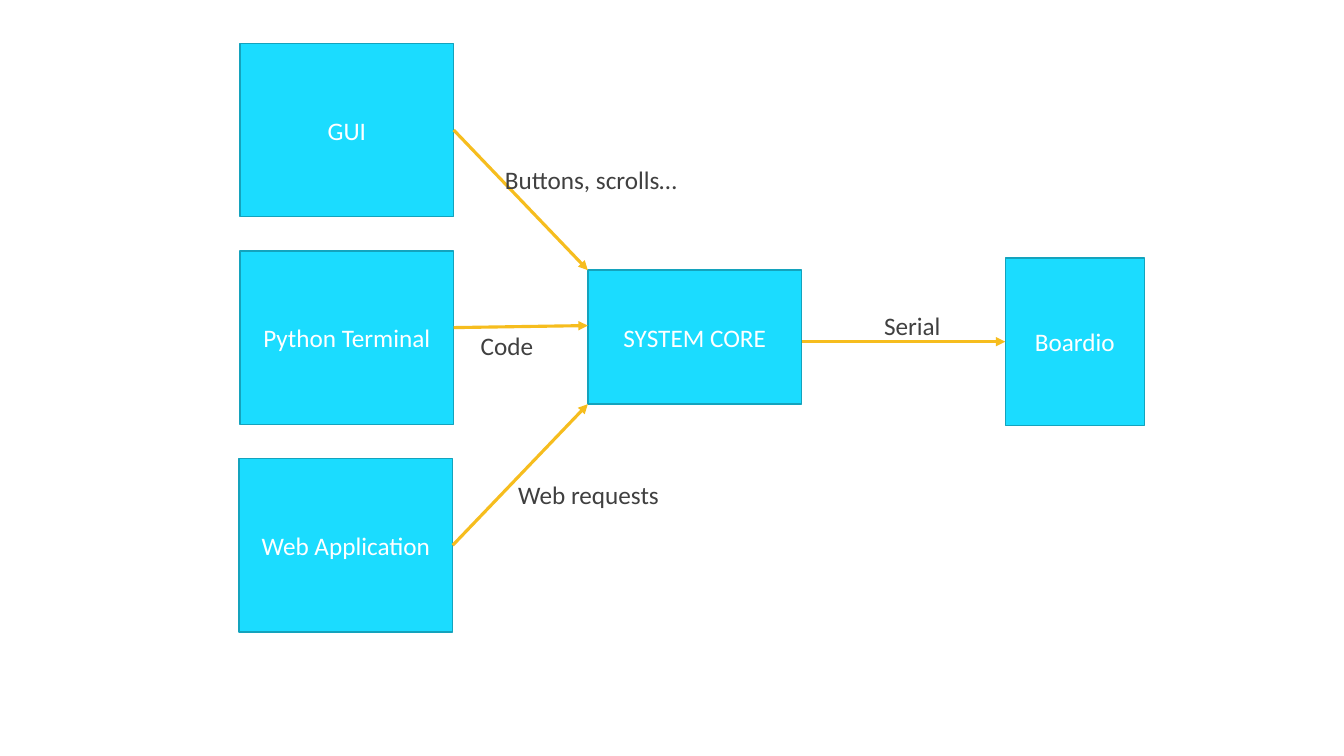
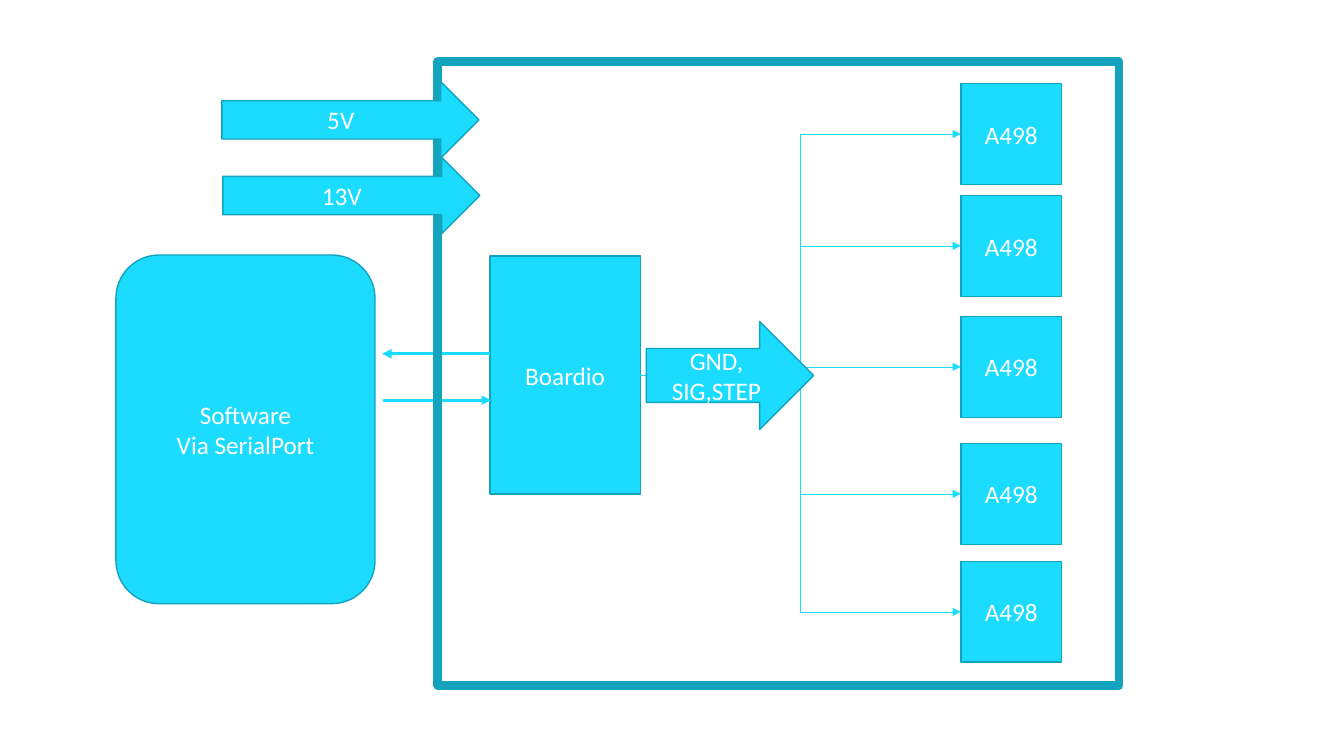
from lxml.etree import SubElement
from pptx import Presentation
from pptx.dml.color import RGBColor as RGB
from pptx.enum.shapes import MSO_CONNECTOR as CONN, MSO_SHAPE as SHAPE
from pptx.enum.text import MSO_ANCHOR as ANCHOR, MSO_AUTO_SIZE as AUTO, PP_ALIGN as ALIGN
from pptx.oxml.ns import qn
from pptx.util import Pt

PX = 9144
FONT = "Calibri"
COLORS = {
    "fill": "1BDCFF",
    "outline": "14A3BD",
    "arrow": "F6BD1E",
    "label": "404040",
    "white": "FFFFFF",
}
RGBS = {name: RGB.from_string(value) for name, value in COLORS.items()}


def add_box(slide, kind, x, y, w, h, text="", fill="fill", line=1):
    place = [v * PX for v in (x, y, w, h)]
    if kind is None:
        sp = slide.shapes.add_textbox(*place)
    else:
        sp = slide.shapes.add_shape(kind, *place)
        sp.shadow.inherit = False
        sp.line.color.rgb = RGBS["outline"]
        sp.line.width = Pt(line)
        if fill:
            sp.fill.solid()
            sp.fill.fore_color.rgb = RGBS[fill]
        else:
            sp.fill.background()
    tf = sp.text_frame
    tf.word_wrap = kind is not None
    if kind is None:
        tf.auto_size = AUTO.SHAPE_TO_FIT_TEXT
    else:
        tf.vertical_anchor = ANCHOR.MIDDLE
    for i, words in enumerate(text.split("\n") if text else []):
        p = tf.paragraphs[0] if i == 0 else tf.add_paragraph()
        p.alignment = ALIGN.LEFT if kind is None else ALIGN.CENTER
        r = p.add_run()
        r.text = words
        r.font.name = FONT
        r.font.size = Pt(18)
        r.font.color.rgb = RGBS["label" if kind is None else "white"]
    return sp


def add_arrow(slide, kind, start, end, color, width, source=None, target=None):
    cxn = slide.shapes.add_connector(kind, *[v * PX for v in (*start, *end)])
    if source is not None:
        cxn.begin_connect(source, 3)
    if target is not None:
        cxn.end_connect(target, 1)
    cxn.line.color.rgb = RGBS[color]
    cxn.line.width = Pt(width)
    SubElement(cxn.line._get_or_add_ln(), qn("a:tailEnd"), type="triangle")
    SubElement(cxn._element.spPr, qn("a:effectLst"))


prs = Presentation()
prs.slide_width = 1333 * PX
prs.slide_height = 750 * PX
blank = prs.slide_layouts[6]

slide = prs.slides.add_slide(blank)
add_box(slide, SHAPE.RECTANGLE, 583, 268, 212, 133, "SYSTEM CORE")
board = add_box(slide, SHAPE.RECTANGLE, 997, 256, 138, 166, "Boardio")
gui, terminal, web = [
    add_box(slide, SHAPE.RECTANGLE, x, 43 + 206 * i, 212, 172, text)
    for i, (x, text) in enumerate([(238, "GUI"), (238, "Python Terminal"), (237, "Web Application")])
]
for start, end, source, target in [
    ((450, 129), (583, 268), gui, None),
    ((450, 325), (583, 323), None, None),
    ((449, 541), (583, 401), web, None),
    ((795, 339), (997, 339), None, board),
]:
    add_arrow(slide, CONN.STRAIGHT, start, end, "arrow", 2.25, source, target)
for x, y, w, text in [
    (867, 303, 77, "Serial"),
    (491, 158, 194, "Buttons, scrolls…"),
    (467, 323, 73, "Code"),
    (504, 471, 162, "Web requests"),
]:
    add_box(slide, None, x, y, w, 40, text)

slide = prs.slides.add_slide(blank)
board = add_box(slide, SHAPE.RECTANGLE, 486, 254, 149, 236, "Boardio")
for start, end in [((486, 351), (379, 351)), ((380, 397), (487, 397))]:
    add_arrow(slide, CONN.STRAIGHT, start, end, "fill", 2.25)
add_box(slide, SHAPE.ROUNDED_RECTANGLE, 115, 253, 257, 346, "Software\nVia SerialPort")
for y in (83, 194, 314, 440, 557):
    driver = add_box(slide, SHAPE.RECTANGLE, 953, y, 100, 100, "A498")
    add_arrow(slide, CONN.ELBOW, (635, 372), (953, y + 50), "fill", 0.5, board, driver)
add_box(slide, SHAPE.RECTANGLE, 434, 61, 676, 619, fill=None, line=6)
for x, y, w, h, text in [
    (220, 81, 255, 76, "5V"),
    (221, 156, 255, 76, "13V"),
    (641, 319, 166, 107, "GND, SIG,STEP"),
]:
    add_box(slide, SHAPE.RIGHT_ARROW, x, y, w, h, text)

prs.save("out.pptx")
